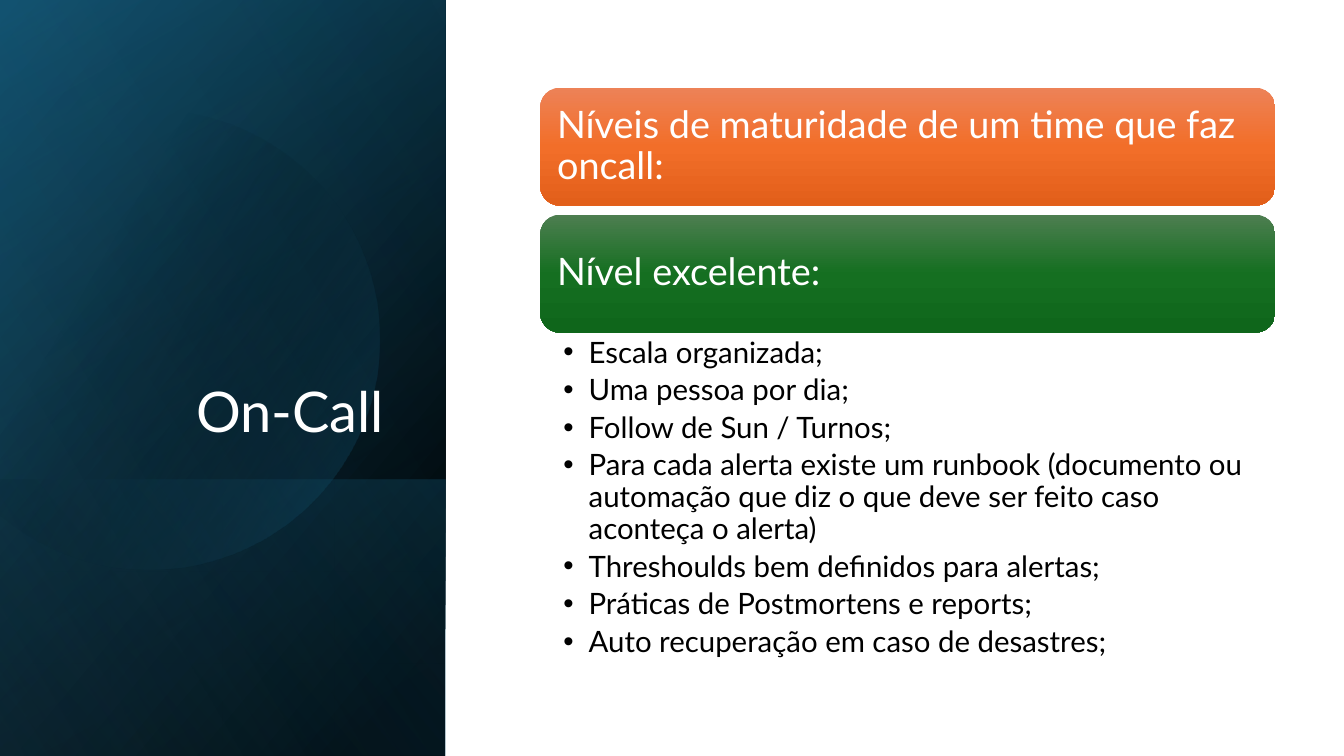
from math import acos, cos, sin

from lxml.etree import SubElement
from pptx import Presentation
from pptx.dml.color import RGBColor
from pptx.enum.shapes import MSO_SHAPE
from pptx.enum.text import MSO_ANCHOR, PP_ALIGN
from pptx.oxml.ns import qn
from pptx.util import Inches, Pt

WHITE = RGBColor(0xFF, 0xFF, 0xFF)
BLACK = RGBColor(0x00, 0x00, 0x00)
NAVY = RGBColor(0x10, 0x48, 0x62)
TEAL = RGBColor(0x15, 0x60, 0x82)
SKY = RGBColor(0x46, 0xB1, 0xE1)
ORANGES = RGBColor(0xED, 0x82, 0x57), RGBColor(0xF2, 0x6E, 0x29), RGBColor(0xE2, 0x5F, 0x1A)
GREENS = RGBColor(0x4D, 0x7E, 0x50), RGBColor(0x15, 0x6F, 0x21), RGBColor(0x0F, 0x66, 0x1B)

SIDEBAR = 33.15
CARD_LEFT, CARD_WIDTH = 40.2, 54.68
CARD_TOP, CARD_HEIGHT, CARD_STEP = 11.6, 15.6, 16.8

SIDEBAR_LAYERS = [
    (0, 100, [(8, BLACK, 100), (100, NAVY, 100)], 50),
    (0, 100, [(0, BLACK, 0), (99, TEAL, 46)], 30),
    (63.47, 36.53, [(2, TEAL, 29), (100, BLACK, 30)], 130),
]
GLOW = [(29, BLACK, 0), (100, TEAL, 43)]
SHEEN = [(0, BLACK, 0), (99, SKY, 11)]
CARDS = [
    ("Níveis de maturidade de um time que faz oncall:", ORANGES),
    ("Nível excelente:", GREENS),
]
PRACTICES = [
    "Escala organizada;",
    "Uma pessoa por dia;",
    "Follow de Sun / Turnos;",
    "Para cada alerta existe um runbook (documento ou automação que diz o que deve ser feito caso aconteça o alerta)",
    "Threshoulds bem definidos para alertas;",
    "Práticas de Postmortens e reports;",
    "Auto recuperação em caso de desastres;",
]


class SlideBuilder:
    """Draws styled elements on one slide, placed in percent of its size."""

    font = "Lato"
    line_spacing = 0.9

    def __init__(self, deck):
        self.width, self.height = deck.slide_width, deck.slide_height
        self.shapes = deck.slides.add_slide(deck.slide_layouts[6]).shapes

    def box(self, left, top, width, height):
        return [
            round(share * side / 100)
            for share, side in zip((left, top, width, height), (self.width, self.height) * 2)
        ]

    def paint(self, shape, stops, angle):
        shape.shadow.inherit = False
        shape.line.fill.background()
        shape.fill.gradient()
        shape.fill.gradient_angle = -angle % 360
        stop_list = shape.element.spPr.find(".//" + qn("a:gsLst"))
        stop_list.clear()
        for position, color, opacity in stops:
            stop = SubElement(stop_list, qn("a:gs"), pos=str(position * 1000))
            tint = SubElement(stop, qn("a:srgbClr"), val=str(color))
            if opacity < 100:
                SubElement(tint, qn("a:alpha"), val=str(opacity * 1000))

    def turned_panel(self, top, height, stops, angle):
        left, top, width, height = self.box(0, top, SIDEBAR, height)
        shift = (width - height) // 2
        panel = self.shapes.add_shape(
            MSO_SHAPE.RECTANGLE, left + shift, top - shift, height, width
        )
        panel.rotation = 90
        panel.element.spPr.get_or_add_xfrm().set("flipH", "1")
        self.paint(panel, stops, angle)

    def cut_circle(self, center_x, center_y, radius, stops, angle):
        x, y, r, _ = self.box(center_x, center_y, radius, 0)
        limit, steps = acos(-x / r), 90
        turns = [limit * (2 * step / steps - 1) for step in range(steps + 1)]
        arc = [(round(x + r * cos(turn)), round(y + r * sin(turn))) for turn in turns]
        outline = self.shapes.build_freeform(*arc[0])
        outline.add_line_segments(arc[1:])
        self.paint(outline.convert_to_shape(), stops, angle)

    def set_text(self, shape, lines, size, color, frame_format, paragraph_format):
        frame = shape.text_frame
        for name, value in {"word_wrap": True, **frame_format}.items():
            setattr(frame, name, value)
        frame.text = "\n".join(lines)
        style = {"line_spacing": self.line_spacing, "alignment": PP_ALIGN.LEFT, **paragraph_format}
        for paragraph in frame.paragraphs:
            for name, value in style.items():
                setattr(paragraph, name, value)
            font = paragraph.runs[0].font
            for name, value in {"name": self.font, "size": Pt(size)}.items():
                setattr(font, name, value)
            font.color.rgb = color
        return frame

    def title(self, text, *place):
        heading = self.shapes.add_textbox(*self.box(*place))
        self.set_text(
            heading, [text], 40, WHITE,
            {"vertical_anchor": MSO_ANCHOR.BOTTOM}, {"alignment": PP_ALIGN.RIGHT},
        )

    def card(self, text, colors, *place):
        card = self.shapes.add_shape(MSO_SHAPE.ROUNDED_RECTANGLE, *self.box(*place))
        self.paint(card, [(pos, color, 100) for pos, color in zip((0, 50, 100), colors)], 90)
        sides = ("left", "top", "right", "bottom")
        insets = {f"margin_{side}": Inches(0.11) for side in sides}
        self.set_text(card, [text], 27, WHITE, {"vertical_anchor": MSO_ANCHOR.MIDDLE, **insets}, {})

    def bullets(self, lines, *place):
        insets = {
            "margin_left": Inches(0.23), "margin_right": Inches(0.21),
            "margin_top": Inches(0.04), "margin_bottom": Inches(0.04),
        }
        bullet_list = self.shapes.add_textbox(*self.box(*place))
        frame = self.set_text(bullet_list, lines, 21, BLACK, insets, {"space_after": Pt(4.2)})
        hang = Inches(0.25)
        for paragraph in frame.paragraphs:
            properties = paragraph._p.get_or_add_pPr()
            for name, value in {"marL": hang, "indent": -hang}.items():
                properties.set(name, str(int(value)))
            SubElement(properties, qn("a:buFont"), typeface="Arial")
            SubElement(properties, qn("a:buChar"), char="•")


def main():
    deck = Presentation()
    deck.slide_width, deck.slide_height = Inches(13.33), Inches(7.5)
    slide = SlideBuilder(deck)
    for layer in SIDEBAR_LAYERS:
        slide.turned_panel(*layer)
    slide.cut_circle(11.1, 44.9, 17.1, GLOW, 30)
    slide.turned_panel(0, 100, SHEEN, 120)
    slide.title("On-Call ", 4.8, 24.53, 25.58, 34.93)
    for row, (text, colors) in enumerate(CARDS):
        slide.card(text, colors, CARD_LEFT, CARD_TOP + row * CARD_STEP, CARD_WIDTH, CARD_HEIGHT)
    slide.bullets(PRACTICES, CARD_LEFT, 44.13, CARD_WIDTH, 45.6)
    deck.save("out.pptx")


if __name__ == "__main__":
    main()
